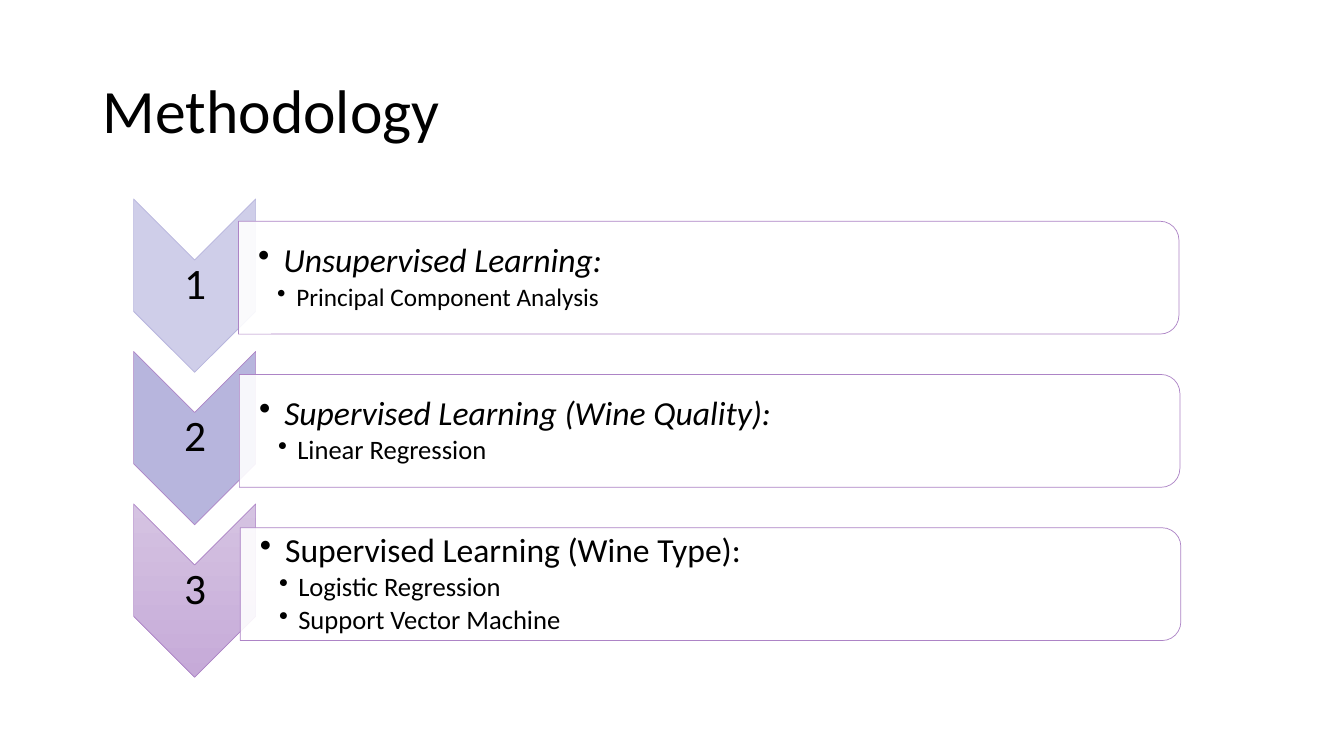
from dataclasses import dataclass
from lxml.etree import SubElement
from pptx import Presentation
from pptx.dml.color import RGBColor
from pptx.enum.shapes import MSO_SHAPE
from pptx.enum.text import MSO_ANCHOR, PP_ALIGN
from pptx.oxml.ns import qn
from pptx.util import Inches, Pt


@dataclass(frozen=True)
class Theme:
    font: str = "Calibri"
    ink: str = "000000"
    card: str = "FFFFFF"
    edge: str = "AD84C6"
    clear: int = 90
    title: int = 44
    number: int = 31
    head: int = 24
    lead: float = 0.9


@dataclass(frozen=True)
class Step:
    head: str
    items: tuple
    size: int
    slant: bool
    fill: tuple
    edge: str


THEME = Theme()
WIDE, HIGH = Inches(13.33), Inches(7.5)
PITCH = 20.17
DROP = 20.27
SHIFT = 0.07
STEPS = (
    Step("Unsupervised Learning:", ("Principal Component Analysis",),
         18, True, ("CFCEE9",), "B7B5DD"),
    Step("Supervised Learning (Wine Quality):", ("Linear Regression",),
         19, True, ("B7B5DD",), THEME.edge),
    Step("Supervised Learning (Wine Type):",
         ("Logistic Regression", "Support Vector Machine"),
         19, False, ("D5C3E2", "C6AAD8"), THEME.edge),
)


def place(left, top, width, height):
    return (round(WIDE * left / 100), round(HIGH * top / 100),
            round(WIDE * width / 100), round(HIGH * height / 100))


def turned(slide, kind, box, edge):
    left, top, width, height = place(*box)
    side = (width - height) // 2
    shape = slide.shapes.add_shape(kind, left + side, top - side, height, width)
    shape.rotation = 90
    shape.shadow.inherit = False
    shape.line.color.rgb = RGBColor.from_string(edge)
    shape.line.width = Pt(0.5)
    return shape


def paint(shape, tones):
    fill = shape.fill
    if len(tones) == 1:
        fill.solid()
        fill.fore_color.rgb = RGBColor.from_string(tones[0])
        return
    fill.gradient()
    fill.gradient_angle = 270
    for stop, tone in zip(fill.gradient_stops, tones):
        stop.color.rgb = RGBColor.from_string(tone)
    shape._element.spPr.find(qn("a:gradFill")).set("rotWithShape", "0")


def fade(shape, share):
    tone = shape._element.spPr.find(qn("a:solidFill"))[0]
    SubElement(tone, qn("a:alpha")).set("val", str(share * 1000))


def frame(slide, box, left=0.02, rest=0.02):
    text = slide.shapes.add_textbox(*place(*box)).text_frame
    text.word_wrap = True
    text.vertical_anchor = MSO_ANCHOR.MIDDLE
    text.margin_left = Inches(left)
    text.margin_right = text.margin_top = text.margin_bottom = Inches(rest)
    return text


def style(para, size, slant=False):
    para.line_spacing = THEME.lead
    for run in para.runs:
        run.font.name = THEME.font
        run.font.size = Pt(size)
        run.font.italic = slant
        run.font.color.rgb = RGBColor.from_string(THEME.ink)


def bullet(para, level, indent, hang):
    para.level = level
    para.space_after = Pt(3)
    props = para._p.get_or_add_pPr()
    props.set("marL", str(Inches(indent)))
    props.set("indent", str(-Inches(hang)))
    SubElement(props, qn("a:buChar")).set("char", "•")


def heading(slide, words):
    text = frame(slide, (6.9, 5.33, 86.25, 19.33), 0.1, 0.05)
    text.text = words
    style(text.paragraphs[0], THEME.title)


def marker(slide, row, step):
    top = row * PITCH
    shape = turned(slide, MSO_SHAPE.CHEVRON,
                   (9.94, 26.33 + top, 9.08, 22.93), step.edge)
    paint(shape, step.fill)
    text = frame(slide, (9.98, 34.27 + top, 9.08, 6.93))
    text.text = str(row + 1)
    para = text.paragraphs[0]
    para.alignment = PP_ALIGN.CENTER
    style(para, THEME.number)


def card(slide, row, step):
    left, top = row * SHIFT, row * DROP
    shape = turned(slide, MSO_SHAPE.ROUND_2_SAME_RECTANGLE,
                   (17.74 + left, 29.27 + top, 69.98, 14.93), THEME.edge)
    paint(shape, (THEME.card,))
    fade(shape, THEME.clear)
    text = frame(slide, (17.78 + left, 30 + top, 69.53, 13.47), 0.19)
    text.text = "\n".join((step.head, *step.items))
    first, *others = text.paragraphs
    style(first, THEME.head, step.slant)
    bullet(first, 1, 0.25, 0.25)
    for para in others:
        style(para, step.size)
        bullet(para, 2, 0.38, 0.19)


def main():
    deck = Presentation()
    deck.slide_width, deck.slide_height = WIDE, HIGH
    slide = deck.slides.add_slide(deck.slide_layouts[6])
    heading(slide, "Methodology")
    for row, step in enumerate(STEPS):
        marker(slide, row, step)
        card(slide, row, step)
    deck.save("out.pptx")


if __name__ == "__main__":
    main()
